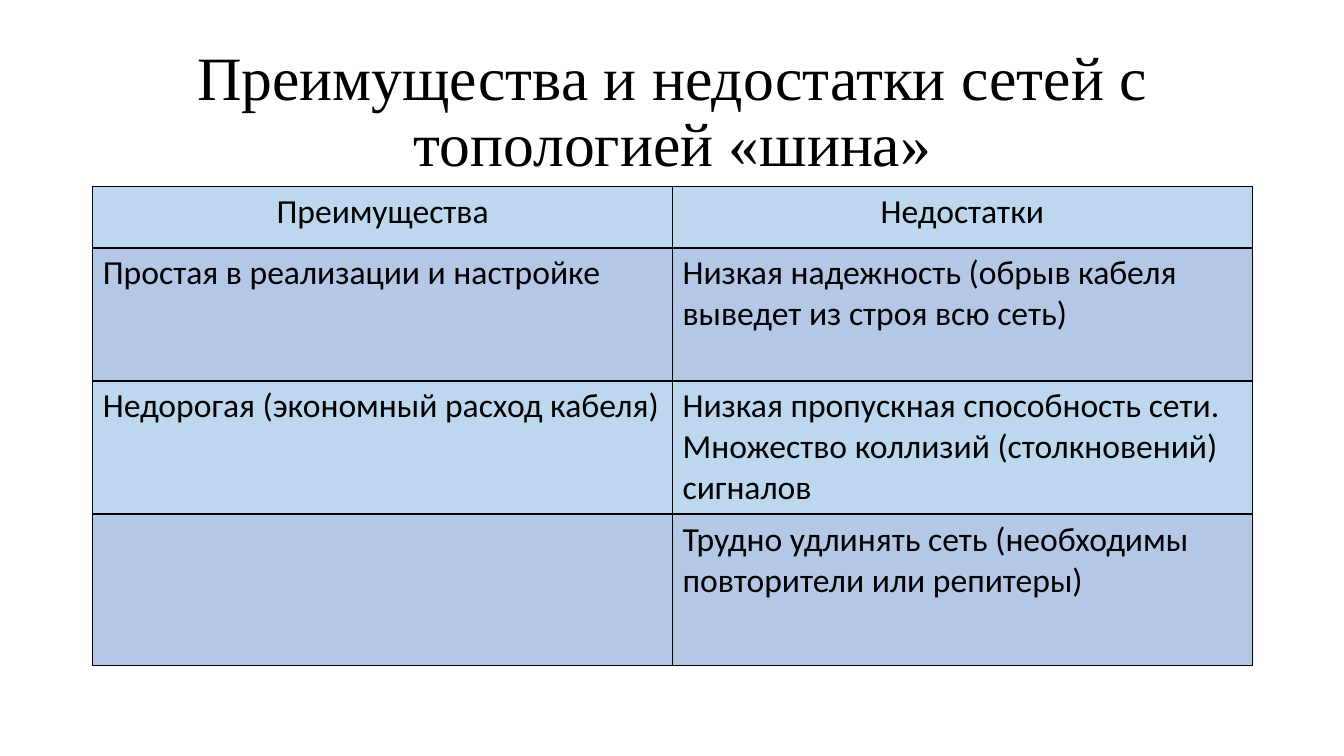
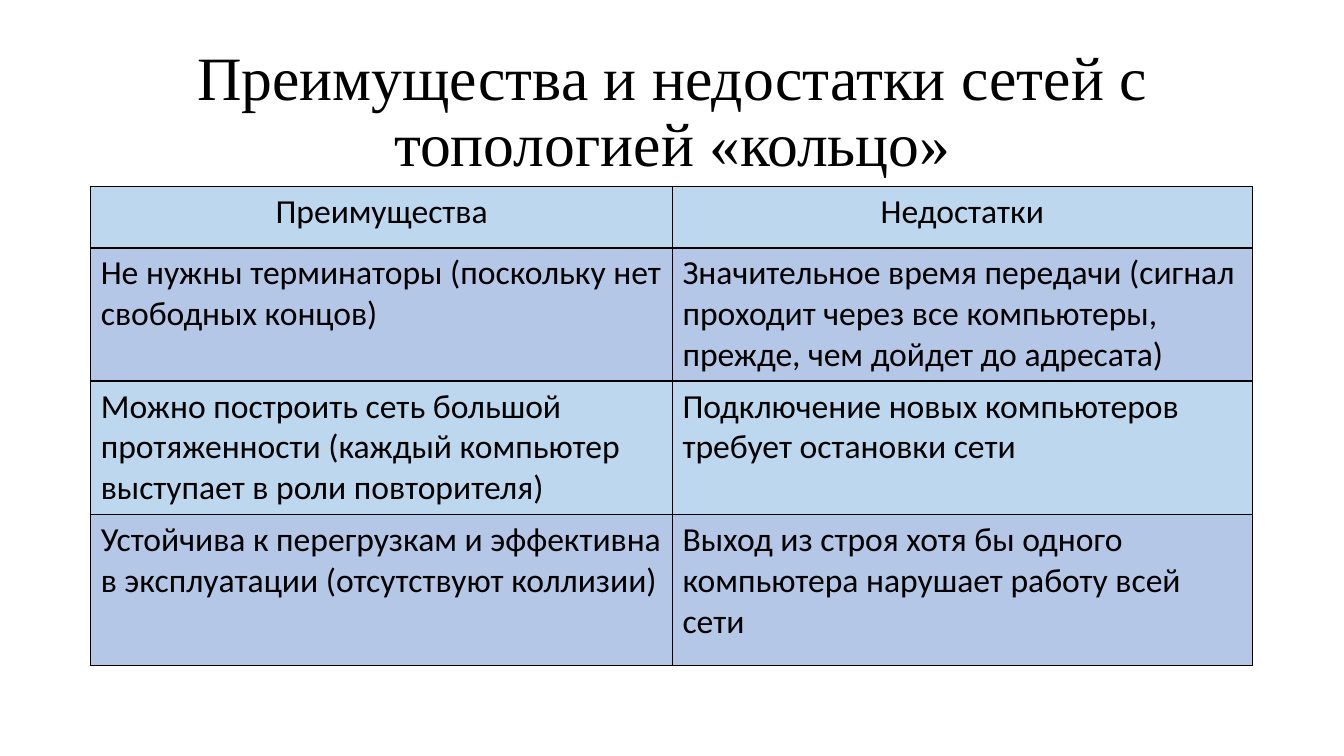
from dataclasses import dataclass

from lxml.etree import SubElement
from pptx import Presentation
from pptx.dml.color import RGBColor
from pptx.enum.text import MSO_ANCHOR, MSO_AUTO_SIZE, PP_ALIGN
from pptx.oxml.ns import qn
from pptx.util import Inches, Pt


@dataclass(frozen=True)
class Theme:
    ink: str = "000000"
    row_fills: tuple = ("BDD7EE", "B4C7E7")
    title_font: str = "Times New Roman"
    title_size: int = 44
    table_font: str = "Calibri"
    table_size: int = 24
    border_width: int = 1


THEME = Theme()
TITLE_BOX = (0.92, 0.4, 11.5, 1.45)
TABLE_TOP = 1.85
COLUMN_SPLIT = 6.67
TABLE_RIGHT = 12.42
ROW_HEIGHTS = (0.61, 1.32, 1.32, 1.5)
HEADINGS = ("Преимущества", "Недостатки")

TOPOLOGIES = [
    {
        "name": "шина",
        "table_left": 0.92,
        "rows": [
            ("Простая в реализации и настройке",
             "Низкая надежность (обрыв кабеля выведет из строя всю сеть)"),
            ("Недорогая (экономный расход кабеля)",
             "Низкая пропускная способность сети. "
             "Множество коллизий (столкновений) сигналов"),
            ("",
             "Трудно удлинять сеть (необходимы повторители или репитеры)"),
        ],
    },
    {
        "name": "кольцо",
        "table_left": 0.9,
        "rows": [
            ("Не нужны терминаторы (поскольку нет свободных концов)",
             "Значительное время передачи (сигнал проходит через все "
             "компьютеры, прежде, чем дойдет до адресата)"),
            ("Можно построить сеть большой протяженности "
             "(каждый компьютер выступает в роли повторителя)",
             "Подключение новых компьютеров требует остановки сети"),
            ("Устойчива к перегрузкам и эффективна в эксплуатации "
             "(отсутствуют коллизии)",
             "Выход из строя хотя бы одного компьютера нарушает "
             "работу всей сети"),
        ],
    },
]


def format_text(para, font_name, size, align):
    para.alignment = align
    for span in para.runs:
        span.font.name = font_name
        span.font.size = Pt(size)
        span.font.bold = False
        span.font.color.rgb = RGBColor.from_string(THEME.ink)


def add_title(page, text):
    title = page.shapes.title
    title.left, title.top, title.width, title.height = map(Inches, TITLE_BOX)
    frame = title.text_frame
    frame.text = text
    frame.word_wrap = True
    frame.auto_size = MSO_AUTO_SIZE.NONE
    frame.vertical_anchor = MSO_ANCHOR.MIDDLE
    para = frame.paragraphs[0]
    para.line_spacing = 0.9
    format_text(para, THEME.title_font, THEME.title_size, PP_ALIGN.CENTER)


def add_borders(cell):
    """Draw all four cell edges; call before the fill, which must follow them."""
    properties = cell._tc.get_or_add_tcPr()
    for side in ("lnL", "lnR", "lnT", "lnB"):
        line = SubElement(properties, qn(f"a:{side}"), w=str(Pt(THEME.border_width)))
        fill = SubElement(line, qn("a:solidFill"))
        SubElement(fill, qn("a:srgbClr"), val=THEME.ink)


def add_comparison(page, left, rows):
    widths = (COLUMN_SPLIT - left, TABLE_RIGHT - COLUMN_SPLIT)
    table = page.shapes.add_table(
        len(rows), len(widths), Inches(left), Inches(TABLE_TOP),
        Inches(sum(widths)), Inches(sum(ROW_HEIGHTS))).table
    table.first_row = table.horz_banding = False
    for column, width in zip(table.columns, widths):
        column.width = Inches(width)
    for row_index, (row, height, texts) in enumerate(
            zip(table.rows, ROW_HEIGHTS, rows)):
        row.height = Inches(height)
        align = PP_ALIGN.LEFT if row_index else PP_ALIGN.CENTER
        fill = THEME.row_fills[row_index % len(THEME.row_fills)]
        for cell, text in zip(row.cells, texts):
            add_borders(cell)
            cell.fill.solid()
            cell.fill.fore_color.rgb = RGBColor.from_string(fill)
            cell.text_frame.text = text
            format_text(cell.text_frame.paragraphs[0], THEME.table_font,
                        THEME.table_size, align)


def main():
    deck = Presentation()
    deck.slide_width, deck.slide_height = Inches(13.33), Inches(7.5)
    title_only = deck.slide_layouts[5]
    for topology in TOPOLOGIES:
        page = deck.slides.add_slide(title_only)
        add_title(page, "Преимущества и недостатки сетей с топологией "
                        f"«{topology['name']}»")
        add_comparison(page, topology["table_left"],
                       [HEADINGS, *topology["rows"]])
    deck.save("out.pptx")


if __name__ == "__main__":
    main()
